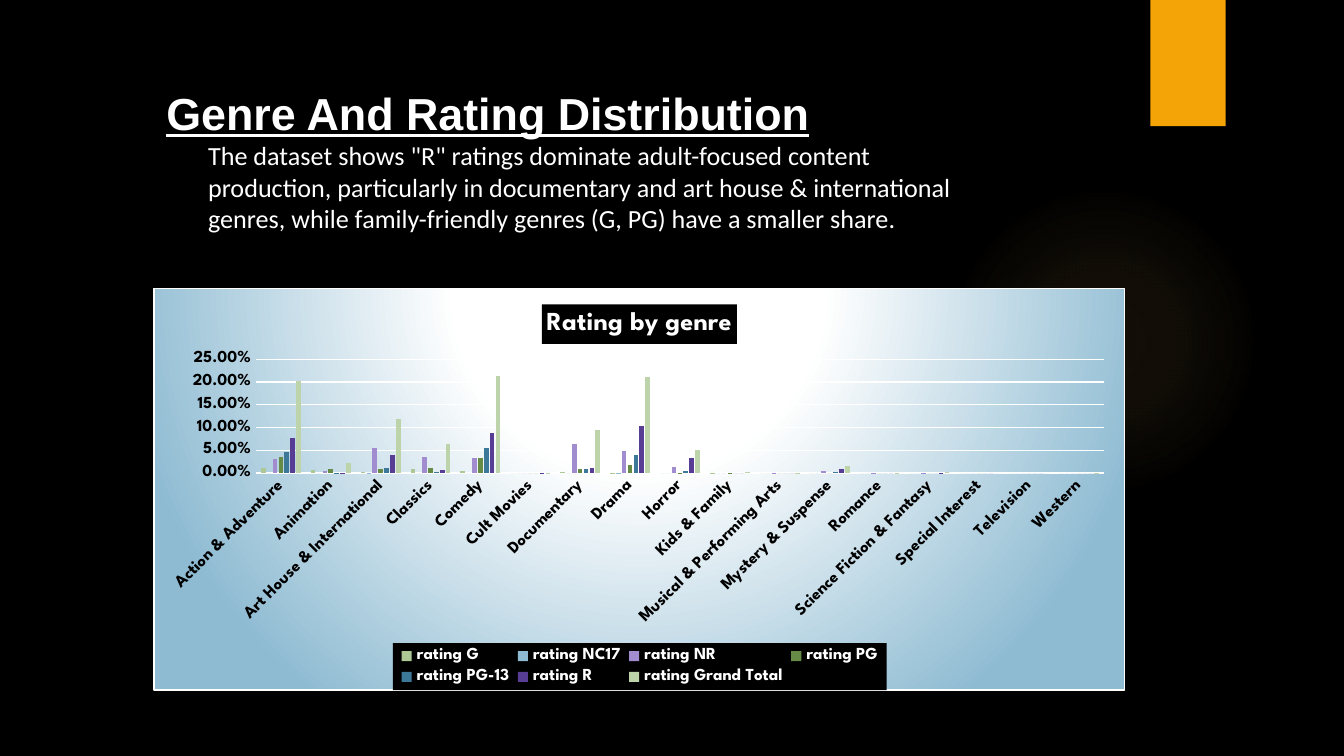
from lxml.etree import fromstring
from pptx import Presentation
from pptx.chart.data import CategoryChartData
from pptx.dml.color import RGBColor
from pptx.enum.chart import XL_CHART_TYPE, XL_LEGEND_POSITION, XL_TICK_MARK
from pptx.enum.shapes import MSO_SHAPE
from pptx.oxml.ns import nsdecls, qn
from pptx.util import Inches, Pt

HEADING = "Genre And Rating Distribution"
SUMMARY = (
    'The dataset shows "R" ratings dominate adult-focused content production, '
    "particularly in documentary and art house & international genres, "
    "while family-friendly genres (G, PG) have a smaller share."
)
CHART_TITLE = "Rating by genre"
CHART_FONT = "League Spartan"
CHART_WIDTH, CHART_HEIGHT = 7.23, 3
GENRES = [
    "Action & Adventure", "Animation", "Art House & International", "Classics",
    "Comedy", "Cult Movies", "Documentary", "Drama", "Horror", "Kids & Family",
    "Musical & Performing Arts", "Mystery & Suspense", "Romance",
    "Science Fiction & Fantasy", "Special Interest", "Television", "Western",
]
RATINGS = [
    ("rating G", "ACC995",
     [0.011, 0.007, 0.003, 0.009, 0.004, 0, 0.003, 0.001, 0, 0.001, 0, 0, 0, 0, 0, 0, 0]),
    ("rating NC17", "8EBBD2",
     [0, 0, 0.001, 0, 0, 0, 0, 0.001, 0, 0, 0, 0, 0, 0, 0, 0, 0]),
    ("rating NR", "A18CD0",
     [0.031, 0.004, 0.056, 0.035, 0.034, 0, 0.063, 0.049, 0.013, 0, 0.001, 0.004,
      0.001, 0.001, 0, 0, 0]),
    ("rating PG", "658B47",
     [0.035, 0.008, 0.008, 0.011, 0.032, 0, 0.009, 0.018, 0.001, 0.001, 0, 0, 0, 0, 0, 0, 0]),
    ("rating PG-13", "3C7897",
     [0.047, 0.001, 0.01, 0.002, 0.056, 0, 0.009, 0.039, 0.005, 0, 0, 0.003, 0, 0, 0, 0, 0]),
    ("rating R", "583D94",
     [0.078, 0.001, 0.039, 0.007, 0.087, 0.001, 0.011, 0.103, 0.033, 0, 0, 0.008,
      0, 0.001, 0, 0, 0]),
    ("rating Grand Total", "BDD4AA",
     [0.202, 0.021, 0.118, 0.064, 0.213, 0.001, 0.095, 0.211, 0.051, 0.003, 0.001,
      0.016, 0.001, 0.002, 0, 0, 0.001]),
]


def color(value):
    return RGBColor.from_string(value)


def paint(fill, value):
    fill.solid()
    fill.fore_color.rgb = color(value)


def style(font, name, size, value, bold=False):
    font.name, font.size, font.bold = name, Pt(size), bold
    font.color.rgb = color(value)


def outline(line, value):
    line.color.rgb = color(value)
    line.width = Pt(0.75)


def radial_fill(stops, top, bottom):
    marks = "".join(
        f'<a:gs pos="{place * 1000}"><a:srgbClr val="{value}">'
        f'<a:alpha val="{alpha * 1000}"/></a:srgbClr></a:gs>'
        for place, value, alpha in stops
    )
    return (
        f'<a:gradFill {nsdecls("a")} rotWithShape="1"><a:gsLst>{marks}</a:gsLst>'
        f'<a:path path="circle"><a:fillToRect l="50000" t="{top * 1000}" '
        f'r="50000" b="{bottom * 1000}"/></a:path></a:gradFill>'
    )


def solid_fill(value):
    return f'<a:solidFill {nsdecls("a")}><a:srgbClr val="{value}"/></a:solidFill>'


def chart_properties(content):
    return fromstring(f'<c:spPr {nsdecls("c", "a")}>{content}</c:spPr>')


def set_layout(element, index, bounds, inner=False):
    for old in element.findall(qn("c:layout")):
        element.remove(old)
    target = '<c:layoutTarget val="inner"/>' if inner else ""
    modes = '<c:xMode val="edge"/><c:yMode val="edge"/>'
    extents = (CHART_WIDTH, CHART_HEIGHT) * 2
    values = "".join(
        f'<c:{key} val="{length / extent}"/>'
        for key, length, extent in zip("xywh", bounds, extents)
    )
    element.insert(index, fromstring(
        f'<c:layout {nsdecls("c")}><c:manualLayout>{target}{modes}{values}'
        f"</c:manualLayout></c:layout>"
    ))


def add_decoration(page, kind, bounds, value):
    shape = page.shapes.add_shape(kind, *map(Inches, bounds))
    shape.shadow.inherit = False
    shape.line.fill.background()
    paint(shape.fill, value)
    return shape


def add_rating_chart(page):
    data = CategoryChartData(number_format="0.00%")
    data.categories = GENRES
    for name, _, values in RATINGS:
        data.add_series(name, values)
    bounds = map(Inches, (1.14, 2.14, CHART_WIDTH, CHART_HEIGHT))
    chart = page.shapes.add_chart(XL_CHART_TYPE.COLUMN_CLUSTERED, *bounds, data).chart
    style(chart.font, CHART_FONT, 10, "FFFFFF")

    plot = chart.plots[0]
    plot.gap_width, plot.overlap, plot.vary_by_categories = 219, -27, False
    for series, (_, value, _) in zip(plot.series, RATINGS):
        paint(series.format.fill, value)
        series.invert_if_negative = False

    for axis in (chart.category_axis, chart.value_axis):
        style(axis.tick_labels.font, CHART_FONT, 9, "000000", True)
        axis.major_tick_mark = axis.minor_tick_mark = XL_TICK_MARK.NONE
    outline(chart.category_axis.format.line, "FFFFFF")
    chart.category_axis._element.find(qn("c:txPr")).find(qn("a:bodyPr")).set("rot", "-2700000")
    scale = chart.value_axis
    scale.minimum_scale, scale.maximum_scale, scale.major_unit = 0, 0.25, 0.05
    scale.tick_labels.number_format = "0.00%"
    scale.tick_labels.number_format_is_linked = False
    scale.format.line.fill.background()
    outline(scale.major_gridlines.format.line, "FFFFFF")

    chart.has_title = True
    title = chart.chart_title
    span = title.text_frame.paragraphs[0].add_run()
    span.text = CHART_TITLE
    style(span.font, CHART_FONT, 14, "FFFFFF", True)
    paint(title.format.fill, "000000")
    set_layout(title._element, 1, (2.89, 0.12))

    chart.has_legend = True
    legend = chart.legend
    legend.position = XL_LEGEND_POSITION.BOTTOM
    legend.include_in_layout = False
    style(legend.font, CHART_FONT, 9, "FFFFFF", True)
    set_layout(legend._element, 1, (1.78, 2.65, 3.68, 0.35))
    legend._element.find(qn("c:overlay")).addnext(chart_properties(solid_fill("000000")))

    space = chart._chartSpace
    body = space.find(qn("c:chart"))
    set_layout(body.find(qn("c:plotArea")), 0, (0.76, 0.53, 6.32, 0.85), inner=True)
    glow = radial_fill([(0, "FFFFFF", 100), (35, "FFFFFF", 100), (100, "8EBBD2", 100)], -80, 180)
    border = f'<a:ln w="9525">{solid_fill("FFFFFF")}</a:ln>'
    body.addnext(chart_properties(glow + border))


def add_text(page):
    box = page.shapes.add_textbox(*map(Inches, (1.14, 0.59, 6.34, 1.21)))
    frame = box.text_frame
    frame.word_wrap = True
    para = frame.paragraphs[0]
    span = para.add_run()
    span.text = HEADING
    style(span.font, "Arial", 24, "FFFFFF", True)
    span.font.underline = True
    para = frame.add_paragraph()
    para._p.get_or_add_pPr().set("marL", str(Inches(0.31)))
    span = para.add_run()
    span.text = SUMMARY
    style(span.font, "Calibri", 14, "FFFFFF")


def main():
    deck = Presentation()
    deck.slide_width = Inches(10)
    deck.slide_height = deck.slide_width * 9 // 16
    page = deck.slides.add_slide(deck.slide_layouts[6])
    paint(page.background.fill, "000000")
    halo = add_decoration(page, MSO_SHAPE.OVAL, (7.06, 1.38, 2.31, 2.31), "FAC96A")
    properties = halo._element.spPr
    stops = [(0, "FAC96A", 7), (36, "FAC96A", 6), (69, "FAC96A", 0)]
    properties.replace(properties.find(qn("a:solidFill")), fromstring(radial_fill(stops, 50, 50)))
    add_decoration(page, MSO_SHAPE.RECTANGLE, (8.56, 0, 0.56, 0.94), "F5A408")
    add_rating_chart(page)
    add_text(page)
    deck.save("out.pptx")


if __name__ == "__main__":
    main()
